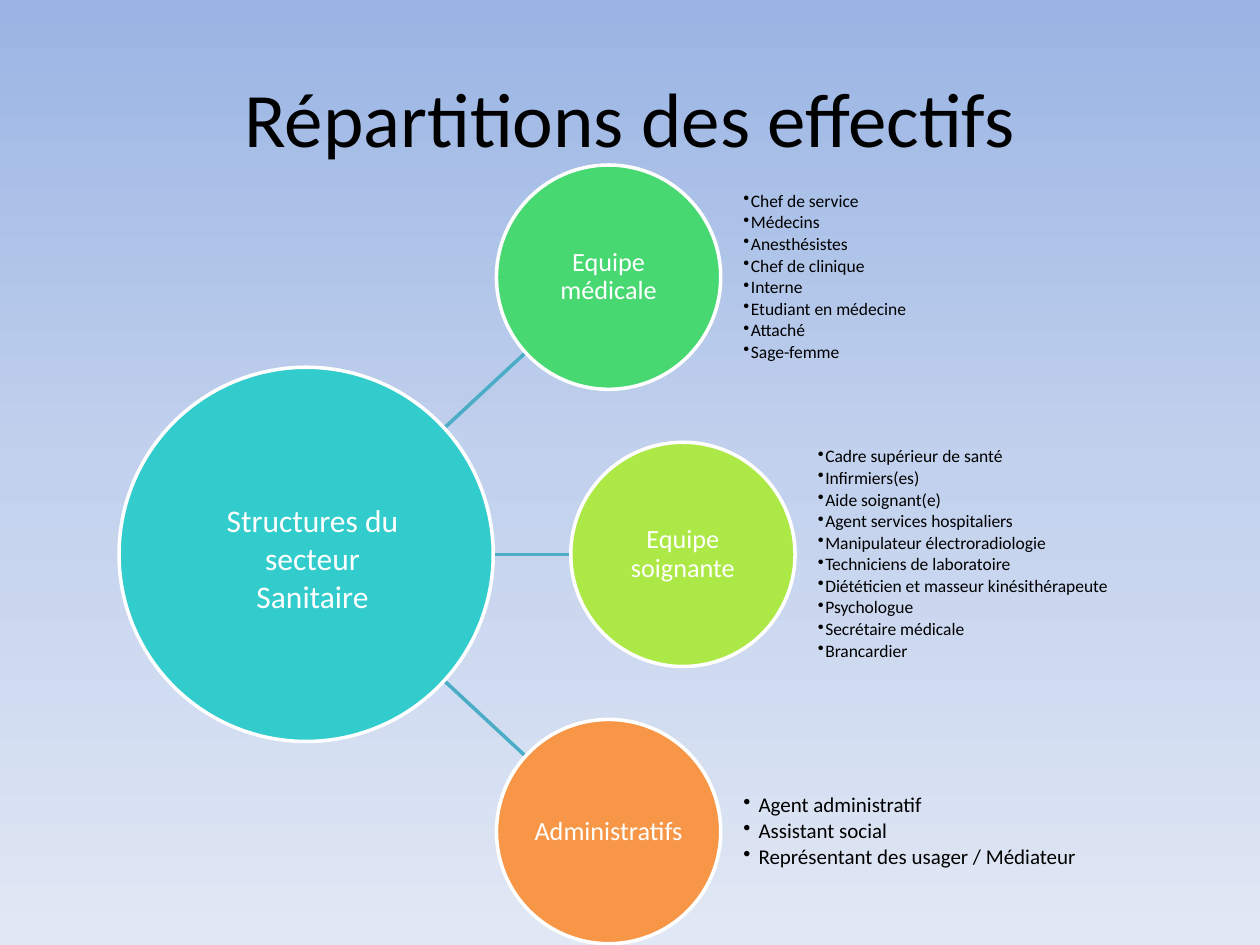
from copy import deepcopy

from pptx import Presentation
from pptx.dml.color import RGBColor
from pptx.enum.shapes import MSO_CONNECTOR as Connector
from pptx.enum.shapes import MSO_SHAPE as Shape
from pptx.enum.text import MSO_ANCHOR as Anchor
from pptx.enum.text import PP_ALIGN as Align
from pptx.oxml.ns import qn
from pptx.oxml.xmlchemy import OxmlElement
from pptx.util import Inches, Pt

FONT = "Calibri"
BLACK = RGBColor(0x00, 0x00, 0x00)
WHITE = RGBColor(0xFF, 0xFF, 0xFF)
TEAL = RGBColor(0x33, 0xCC, 0xCC)
GREEN = RGBColor(0x47, 0xD8, 0x72)
LIME = RGBColor(0xAC, 0xE9, 0x46)
ORANGE = RGBColor(0xF7, 0x96, 0x46)
SPOKE_BLUE = RGBColor(0x4B, 0xAC, 0xC6)
SKY = (
    RGBColor(0x9A, 0xB5, 0xE4),
    RGBColor(0xC2, 0xD1, 0xED),
    RGBColor(0xE1, 0xE8, 0xF5),
)

WIDTH, HEIGHT = 10, 7.5
HUB_X, HUB_Y, HUB_SIZE = 2.43, 4.4, 2.97
ROW_STEP = 2.2
TEAM_SIZE = 1.78
LIST_GAP, LIST_WIDTH = 0.18, 2.68
SPOKE_START, SPOKE_RISE, SPOKE_REACH = 3.48, 0.96, 1.6

TEAMS = [
    (-1, "Equipe médicale", GREEN, 4.83, 4.17, 10, 0.06, [
        "Chef de service", "Médecins", "Anesthésistes", "Chef de clinique",
        "Interne", "Etudiant en médecine", "Attaché", "Sage-femme",
    ]),
    (0, "Equipe soignante", LIME, 5.42, 4.53, 10, 0.06, [
        "Cadre supérieur de santé", "Infirmiers(es)", "Aide soignant(e)",
        "Agent services hospitaliers", "Manipulateur électroradiologie",
        "Techniciens de laboratoire", "Diététicien et masseur kinésithérapeute",
        "Psychologue", "Secrétaire médicale", "Brancardier",
    ]),
    (1, "Administratifs", ORANGE, 4.83, 4.17, 12, 0.12, [
        "Agent administratif", "Assistant social",
        "Représentant des usager / Médiateur",
    ]),
]


def paint_background(slide):
    fill = slide.background.fill
    fill.gradient()
    fill.gradient_angle = 270
    stop_list = slide.element.find(".//" + qn("a:gsLst"))
    stop_list.insert(1, deepcopy(stop_list[0]))
    for index, (stop, color) in enumerate(zip(fill.gradient_stops, SKY)):
        stop.position = index / 2
        stop.color.rgb = color


def write_text(shape, text, size, color, align=Align.CENTER, inset=0.1):
    frame = shape.text_frame
    frame.word_wrap = True
    frame.vertical_anchor = Anchor.MIDDLE
    frame.margin_left = frame.margin_right = Inches(inset)
    frame.margin_top = frame.margin_bottom = Inches(min(inset, 0.05))
    frame.text = text
    for paragraph in frame.paragraphs:
        paragraph.alignment = align
        for run in paragraph.runs:
            run.font.name = FONT
            run.font.size = Pt(size)
            run.font.color.rgb = color
    return frame.paragraphs


def add_text(slide, box, text, size, **options):
    shape = slide.shapes.add_textbox(*map(Inches, box))
    return write_text(shape, text, size, BLACK, **options)


def add_ellipse(slide, center_x, center_y, width, height, color, outlined=True):
    shape = slide.shapes.add_shape(
        Shape.OVAL, Inches(center_x - width / 2), Inches(center_y - height / 2),
        Inches(width), Inches(height))
    shape.shadow.inherit = False
    shape.fill.solid()
    shape.fill.fore_color.rgb = color
    if outlined:
        shape.line.color.rgb = WHITE
        shape.line.width = Pt(2)
    else:
        shape.line.fill.background()
    return shape


def add_spoke(slide, row, end_x):
    ends = (SPOKE_START, HUB_Y + row * SPOKE_RISE,
            end_x, HUB_Y + row * SPOKE_REACH)
    spoke = slide.shapes.add_connector(Connector.STRAIGHT, *map(Inches, ends))
    spoke.line.color.rgb = SPOKE_BLUE
    spoke.line.width = Pt(2)
    spoke._element.spPr.append(OxmlElement("a:effectLst"))


def add_bullets(slide, box, items, size, indent):
    paragraphs = add_text(slide, box, "\n".join(items), size,
                          align=Align.LEFT, inset=0)
    for paragraph in paragraphs:
        paragraph.line_spacing = 0.9
        paragraph.space_after = Pt(0.15 * size)
        properties = paragraph._p.get_or_add_pPr()
        properties.set("marL", str(Inches(indent)))
        properties.set("indent", str(-Inches(indent)))
        bullet = OxmlElement("a:buChar")
        bullet.set("char", "•")
        properties.append(bullet)


def add_team(slide, row, name, color, center_x, size, indent, members):
    center_y = HUB_Y + row * ROW_STEP
    circle = add_ellipse(slide, center_x, center_y, TEAM_SIZE, TEAM_SIZE, color)
    for paragraph in write_text(circle, name, 15, WHITE, inset=0.01):
        paragraph.line_spacing = 0.9
    radius = TEAM_SIZE / 2
    box = (center_x + radius + LIST_GAP, center_y - radius, LIST_WIDTH, TEAM_SIZE)
    add_bullets(slide, box, members, size, indent)


def main():
    presentation = Presentation()
    presentation.slide_width = Inches(WIDTH)
    presentation.slide_height = Inches(HEIGHT)
    slide = presentation.slides.add_slide(presentation.slide_layouts[6])
    paint_background(slide)
    title_box = (0.05 * WIDTH, 0.04 * HEIGHT, 0.9 * WIDTH, HEIGHT / 6)
    add_text(slide, title_box, "Répartitions des effectifs", 44)

    for row, _, _, _, spoke_end, *_ in reversed(TEAMS):
        add_spoke(slide, row, spoke_end)
    add_ellipse(slide, HUB_X, HUB_Y, HUB_SIZE, HUB_SIZE, TEAL)
    for row, name, color, center_x, _, size, indent, members in TEAMS:
        add_team(slide, row, name, color, center_x, size, indent, members)

    hub_label = add_ellipse(slide, 2.48, 4.43, 2.52, 2.13, TEAL, outlined=False)
    write_text(hub_label, "Structures du secteur Sanitaire", 18, WHITE)
    presentation.save("out.pptx")


if __name__ == "__main__":
    main()
